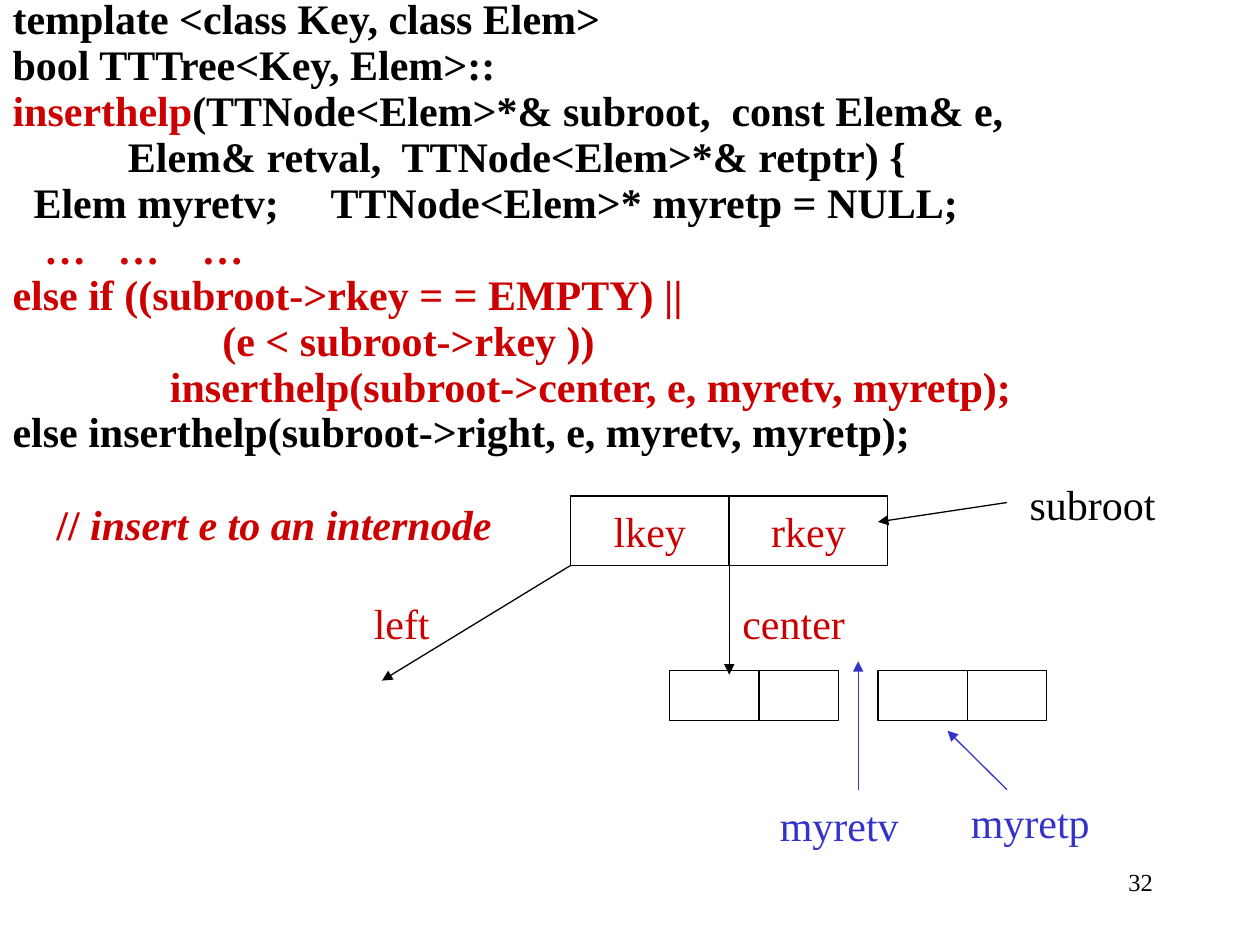
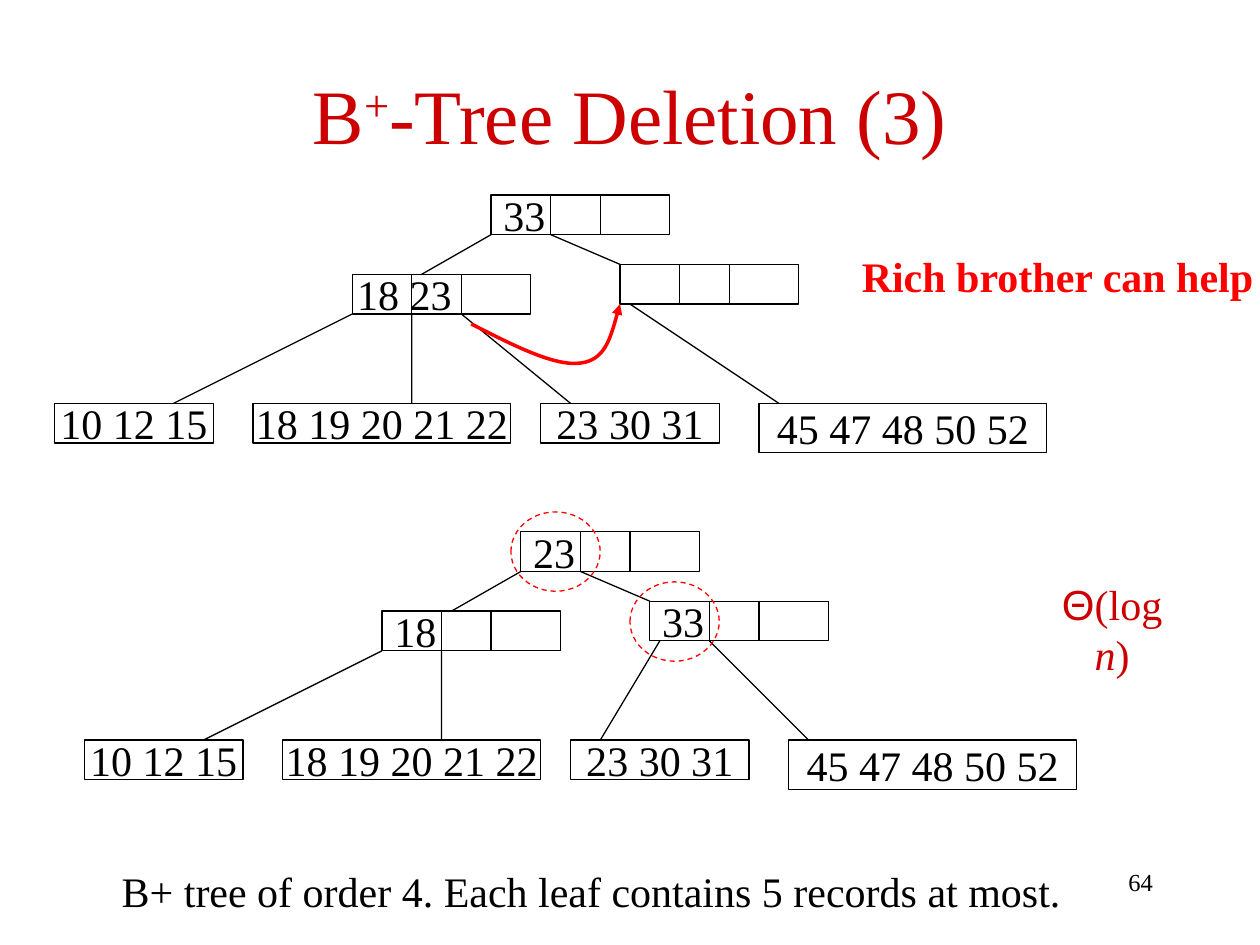
from pptx import Presentation
from pptx.util import Cm, Pt
from pptx.dml.color import RGBColor
from pptx.enum.dml import MSO_LINE
from pptx.enum.shapes import MSO_CONNECTOR, MSO_SHAPE
from pptx.enum.text import MSO_ANCHOR, MSO_AUTO_SIZE, PP_ALIGN
from pptx.oxml.ns import qn
from lxml.etree import SubElement

# Shared look
BLACK, CRIMSON, RED, BLUE = "000000", "CC0000", "FF0000", "3333CC"
FONT = "Times New Roman"
LEFT, CENTER, RIGHT = PP_ALIGN.LEFT, PP_ALIGN.CENTER, PP_ALIGN.RIGHT

# Slide 1: each code line is a list of (text, colour)
CODE = [
    [("template <class Key, class Elem>", BLACK)],
    [("bool TTTree<Key, Elem>::", BLACK)],
    [("inserthelp", CRIMSON),
     ("(TTNode<Elem>*& subroot,  const Elem& e,", BLACK)],
    [("           Elem& retval,  TTNode<Elem>*& retptr) {", BLACK)],
    [("  Elem myretv;     TTNode<Elem>* myretp = NULL;", BLACK)],
    [("   ", BLACK), ("…   …    …", CRIMSON)],
    [("else if ((subroot->rkey = = EMPTY) ||", CRIMSON)],
    [("                    (e < subroot->rkey ))", CRIMSON)],
    [("               inserthelp(subroot->center, e, myretv, myretp);", CRIMSON)],
    [("else inserthelp(subroot->right, e, myretv, myretp);", BLACK)],
]
KEYS = ["lkey", "rkey"]
CHILD_LEFTS = [13.5, 17.7]
CHILD_CELLS = [(0, 1.8), (1.8, 1.6)]          # offset, width
POINTER_LABELS = [                            # text, left, top, width, colour
    ("left", 7.3, 11.92, 1.6, CRIMSON),
    ("center", 14.7, 11.92, 2.6, CRIMSON),
    ("subroot", 20.5, 9.53, 3.05, BLACK),
    ("myretv", 15.47, 16, 2.9, BLUE),
    ("myretp", 19.32, 15.94, 2.9, BLUE),
]
POINTERS = [                                  # x1, y1, x2, y2, colour
    (11.5, 11.4, 7.7, 13.72, BLACK),
    (14.7, 11.4, 14.7, 13.6, BLACK),
    (20.3, 10.13, 17.7, 10.52, BLACK),
    (17.3, 15.92, 17.3, 13.33, BLUE),
    (20.3, 15.92, 19.1, 14.73, BLUE),
]

# Slide 2: two trees on one layout
LEAVES = [                                    # text, left, width, height
    ("10 12 15", 1.1, 3.2, 0.8),
    ("18 19 20 21 22", 5.1, 5.2, 0.8),
    ("23 30 31", 10.9, 3.6, 0.8),
    ("45 47 48 50 52", 15.3, 5.8, 1),
]
LEAF_TOP = 8.13
NODES = {"root": (9.9, 3.93), "left": (7.1, 5.53), "right": (12.5, 5.33)}
NODE_W, NODE_H, DIVIDERS = 3.6, 0.8, (1.2, 2.2)
INNER_EDGES = [("root", 0, "left", 1.4), ("root", 1.2, "right", 0)]
TREES = [                                     # links: node, offset, x on leaf
    dict(shift=(0, 0), keys={"root": "33", "left": "18 23", "right": ""},
         links=[("left", 0, 3.5), ("left", 1.2, 8.3),
                ("left", 2.2, 11.5), ("right", 0.2, 15.7)]),
    dict(shift=(0.6, 6.79), keys={"root": "23", "left": "18", "right": "33"},
         links=[("left", 0, 3.5), ("left", 1.2, 8.3),
                ("right", 0.2, 11.5), ("right", 1.2, 15.7)]),
]
CHANGED_KEYS = [(12.7, 11.73), (10.3, 10.32)]
MOVE_CURVE = [(9.5, 6.53), (10.34, 6.96), (11.18, 7.39), (11.7, 7.32),
              (12.2, 7.26), (12.34, 6.7), (12.5, 6.13)]


def rgb(color):
    return RGBColor.from_string(color)


def add_runs(p, runs, size=24, color=BLACK, bold=False):
    """Each run is (text, overrides)."""
    for text, style in runs:
        r = p.add_run()
        r.text = text
        f = r.font
        f.size, f.name = Pt(size), style.get("font", FONT)
        f.bold, f.italic = bold, style.get("italic", False)
        f.color.rgb = rgb(style.get("color", color))
        if "baseline" in style:
            r._r.get_or_add_rPr().set("baseline", style["baseline"])


def add_label(s, runs, x, y, w, color=BLACK, align=CENTER, size=24,
              bold=False, wrap=False):
    if isinstance(runs, str):
        runs = [(runs, {})]
    tf = s.shapes.add_textbox(Cm(x), Cm(y), Cm(w), Cm(1.27)).text_frame
    tf.word_wrap = wrap
    tf.margin_left = tf.margin_right = 0
    p = tf.paragraphs[0]
    p.alignment = align
    add_runs(p, runs, size, color, bold)


def add_box(s, x, y, w, h, text="", color=BLACK, align=CENTER, inset=0.25):
    sp = s.shapes.add_shape(MSO_SHAPE.RECTANGLE, Cm(x), Cm(y), Cm(w), Cm(h))
    outline(sp, BLACK)
    if text:
        tf = sp.text_frame
        tf.word_wrap = align == LEFT
        tf.vertical_anchor = MSO_ANCHOR.MIDDLE
        tf.margin_left = tf.margin_right = Cm(inset)
        tf.margin_top = tf.margin_bottom = 0
        p = tf.paragraphs[0]
        p.alignment = align
        add_runs(p, [(text, {})], color=color)


def outline(sp, color, width=0.75):
    sp.shadow.inherit = False
    sp.fill.background()
    sp.line.color.rgb = rgb(color)
    sp.line.width = Pt(width)


def add_arrowhead(sp):
    SubElement(sp.line._get_or_add_ln(), qn("a:tailEnd"), type="triangle")


def add_line(s, x1, y1, x2, y2, color=BLACK, arrow=False):
    c = s.shapes.add_connector(MSO_CONNECTOR.STRAIGHT,
                               Cm(x1), Cm(y1), Cm(x2), Cm(y2))
    c.line.color.rgb = rgb(color)
    c.line.width = Pt(0.75)
    if arrow:
        add_arrowhead(c)
    SubElement(c._element.spPr, qn("a:effectLst"))


def add_curve(s, points, color, width):
    """Cubic curve: a start point, then three points for each segment."""
    start, *rest = [(Cm(x), Cm(y)) for x, y in points]
    fb = s.shapes.build_freeform(*start)
    fb.add_line_segments(rest, close=False)
    sp = fb.convert_to_shape()
    outline(sp, color, width)
    path = next(sp._element.iter(qn("a:path")))
    lines = path.findall(qn("a:lnTo"))
    for i in range(0, len(lines), 3):
        bezier = SubElement(path, qn("a:cubicBezTo"))
        for ln in lines[i:i + 3]:
            bezier.append(ln[0])
            path.remove(ln)
    add_arrowhead(sp)


def place(sp, x, y, w, h):
    sp.left, sp.top, sp.width, sp.height = Cm(x), Cm(y), Cm(w), Cm(h)


def new_slide(prs, layout, number):
    s = prs.slides.add_slide(prs.slide_layouts[layout])
    add_label(s, number, 18.2, 17.35, 5.04, align=RIGHT, size=14, wrap=True)
    return s


def build_insert_slide(prs):
    s = new_slide(prs, 1, "32")
    title = s.shapes.title
    title._element.getparent().remove(title._element)

    # Code listing
    body = s.placeholders[1]
    place(body, 0, 0, 24.7, 9.73)
    tf = body.text_frame
    tf.auto_size = MSO_AUTO_SIZE.NONE
    for i, line in enumerate(CODE):
        p = tf.add_paragraph() if i else tf.paragraphs[0]
        p.line_spacing = 0.7
        p.space_before = Pt(6.1 if i else 0)
        pPr = p._p.get_or_add_pPr()
        pPr.set("marL", str(Cm(0.96)))
        pPr.set("indent", str(Cm(-0.96)))
        SubElement(pPr, qn("a:buNone"))
        add_runs(p, [(text, {"color": color}) for text, color in line], bold=True)

    # Node, its children and the pointers
    for i, key in enumerate(KEYS):
        add_box(s, 11.5 + 3.2 * i, 10, 3.2, 1.4, key, CRIMSON)
    for left in CHILD_LEFTS:
        for dx, w in CHILD_CELLS:
            add_box(s, left + dx, 13.52, w, 1)
    for pointer in POINTERS:
        add_line(s, *pointer, arrow=True)
    for label in POINTER_LABELS:
        add_label(s, *label)
    add_label(s, [("//", {}), (" insert e to an internode", {"italic": True})],
              0.89, 9.93, 9.27, CRIMSON, bold=True)


def draw_tree(s, shift, keys, links):
    dx, dy = shift
    for text, x, w, h in LEAVES:
        add_box(s, x + dx, LEAF_TOP + dy, w, h, text)
    for name, (x, y) in NODES.items():
        x, y = x + dx, y + dy
        inset = 0.1 if " " in keys[name] else 0.25
        add_box(s, x, y, NODE_W, NODE_H, keys[name], align=LEFT, inset=inset)
        for d in DIVIDERS:
            add_line(s, x + d, y, x + d, y + NODE_H)
    for parent, start, child, end in INNER_EDGES:
        (px, py), (cx, cy) = NODES[parent], NODES[child]
        add_line(s, px + start + dx, py + NODE_H + dy, cx + end + dx, cy + dy)
    for name, start, leaf_x in links:
        x, y = NODES[name]
        add_line(s, x + start + dx, y + NODE_H + dy, leaf_x + dx, LEAF_TOP + dy)


def build_deletion_slide(prs):
    s = new_slide(prs, 5, "64")
    title = s.shapes.title
    place(title, 1.27, 1.02, 22.86, 2.54)
    p = title.text_frame.paragraphs[0]
    p.alignment = CENTER
    add_runs(p, [("B", {}), ("+", {"baseline": "30000"}),
                 ("-Tree Deletion (3)", {})], 44, CRIMSON)

    # Trees before and after
    for tree in TREES:
        draw_tree(s, **tree)
    add_curve(s, MOVE_CURVE, RED, 2)
    for x, y in CHANGED_KEYS:
        ring = s.shapes.add_shape(MSO_SHAPE.OVAL, Cm(x), Cm(y), Cm(1.8), Cm(1.6))
        outline(ring, RED)
        ring.line.dash_style = MSO_LINE.DASH

    # Remarks
    add_label(s, "Rich brother can help", 17.24, 4.93, 8.16, RED, bold=True)
    add_label(s, [("Θ", {"font": "Arial"}), ("(log ", {}),
                  ("n", {"italic": True}), (")", {})],
              21.12, 11.53, 2.6, CRIMSON, wrap=True)
    add_label(s, "B+ tree of order 4. Each leaf contains 5 records at most.",
              2.12, 17.32, 19.6)


def main():
    prs = Presentation()
    prs.slide_width, prs.slide_height = Cm(25.4), Cm(19.05)
    build_insert_slide(prs)
    build_deletion_slide(prs)
    prs.save("out.pptx")


if __name__ == "__main__":
    main()
